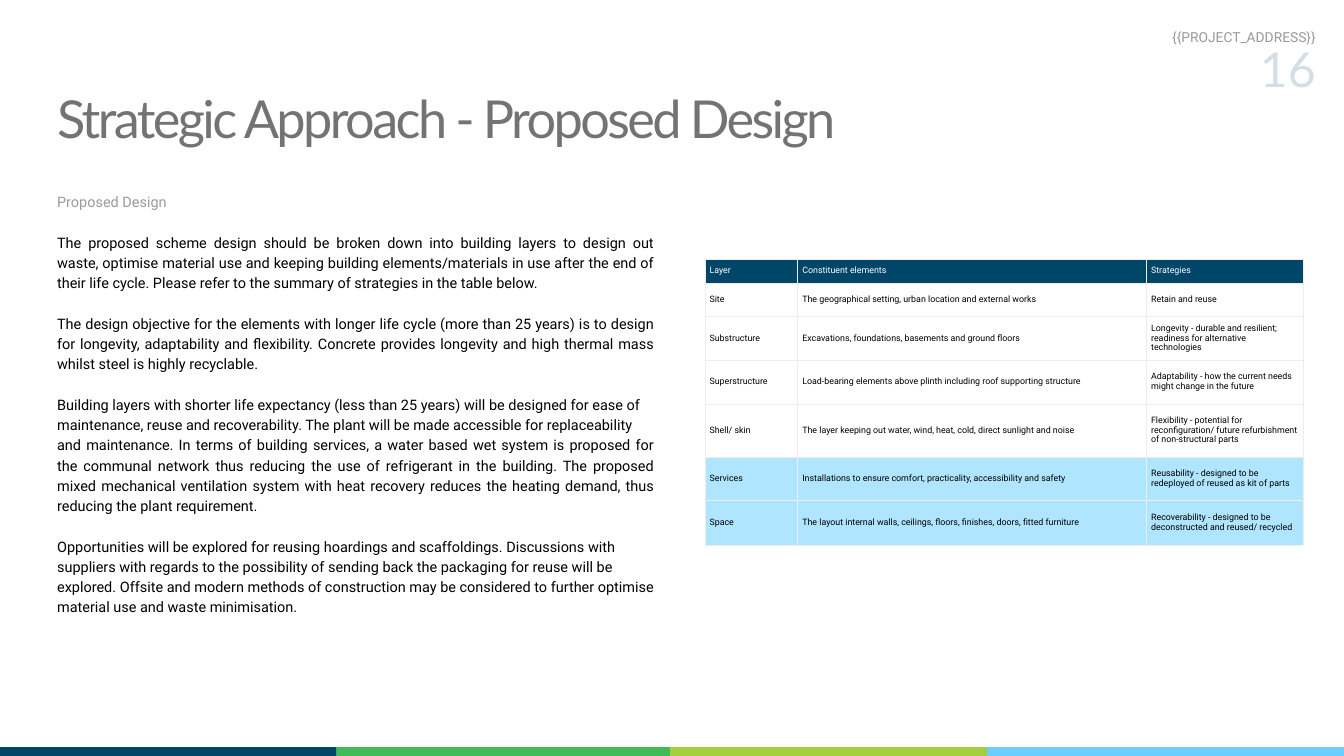
import pptx
import pptx.dml.color
import pptx.enum.shapes
import pptx.enum.text
import pptx.oxml
import pptx.oxml.ns
import pptx.util
from lxml import etree

Pt = pptx.util.Pt
qn = pptx.oxml.ns.qn
ALIGN = pptx.enum.text.PP_ALIGN
ANCHOR = pptx.enum.text.MSO_ANCHOR

COLOURS = {
    "navy": "004669", "green": "3FBB58", "lime": "A3CF3E", "sky": "6BCEFD",
    "pale": "AFE5FF", "rule": "EDEDED", "title": "737373", "muted": "9C9A94",
    "black": "000000", "white": "FFFFFF",
}

SECTIONS = [
    ["The proposed scheme design should be broken down into building layers to design out waste, optimise material use and keeping building elements/materials in use after the end of their life cycle. Please refer to the summary of strategies in the table below."],
    ["The design objective for the elements with longer life cycle (more than 25 years) is to design for longevity, adaptability and flexibility. Concrete provides longevity and high thermal mass whilst steel is highly recyclable."],
    ["Building layers with shorter life expectancy (less than 25 years) will be designed for ease of",
     "maintenance, reuse and recoverability. The plant will be made accessible for replaceability",
     "and maintenance. In terms of building services, a water based wet system is proposed for the communal network thus reducing the use of refrigerant in the building. The proposed mixed mechanical ventilation system with heat recovery reduces the heating demand, thus reducing the plant requirement."],
    ["Opportunities will be explored for reusing hoardings and scaffoldings. Discussions with",
     "suppliers with regards to the possibility of sending back the packaging for reuse will be",
     "explored. Offsite and modern methods of construction may be considered to further optimise material use and waste minimisation."],
]

LAYERS = [
    ("Layer", "Constituent elements", "Strategies"),
    ("Site", "The geographical setting, urban location and external works", "Retain and reuse"),
    ("Substructure", "Excavations, foundations, basements and ground floors",
     "Longevity - durable and resilient; readiness for alternative technologies"),
    ("Superstructure", "Load-bearing elements above plinth including roof supporting structure",
     "Adaptability - how the current needs might change in the future"),
    ("Shell/ skin", "The layer keeping out water, wind, heat, cold, direct sunlight and noise",
     "Flexibility - potential for reconfiguration/ future refurbishment of non-structural parts"),
    ("Services", "Installations to ensure comfort, practicality, accessibility and safety",
     "Reusability - designed to be redeployed of reused as kit of parts"),
    ("Space", "The layout internal walls, ceilings, floors, finishes, doors, fitted furniture",
     "Recoverability - designed to be deconstructed and reused/ recycled"),
]
COLUMN_WIDTHS = [99.4, 373.7, 167.8]
ROW_HEIGHTS = [25.2, 36, 46.8, 46.8, 56.9, 46.8, 47.5]
ROW_FILLS = ["navy", None, None, None, None, "pale", "pale"]


def rgb(name):
    return pptx.dml.color.RGBColor.from_string(COLOURS[name])


def place(shape, box):
    shape.left, shape.top, shape.width, shape.height = map(Pt, box)


def prepare_frame(shape):
    frame = shape.text_frame
    frame.word_wrap = True
    frame.auto_size = pptx.enum.text.MSO_AUTO_SIZE.NONE
    frame.vertical_anchor = ANCHOR.TOP
    frame.margin_left = frame.margin_top = frame.margin_right = frame.margin_bottom = 0
    return frame


def style(para, font, size, colour, spacing, align=ALIGN.LEFT, before=0):
    para.alignment = align
    para.line_spacing = Pt(spacing)
    para.space_before = Pt(before)
    para.font.name = font
    para.font.size = Pt(size)
    para.font.color.rgb = rgb(colour)


def add_title(page, box):
    title = page.shapes.title
    place(title, box)
    para = prepare_frame(title).paragraphs[0]
    para.text = "Strategic Approach - Proposed Design"
    style(para, "Lato", 56, "title", 50.4)
    para.runs[0]._r.get_or_add_rPr().set("spc", "-280")


def add_body(page, box):
    body = page.placeholders[1]
    place(body, box)
    frame = prepare_frame(body)
    lines = [("Proposed Design", "muted", 0)]
    for section in SECTIONS:
        lines += [(text, "black", 0 if i else 21.7) for i, text in enumerate(section)]
    for i, (text, colour, before) in enumerate(lines):
        para = frame.add_paragraph() if i else frame.paragraphs[0]
        para.text = text
        properties = para._p.get_or_add_pPr()
        properties.set("marL", "0")
        properties.set("indent", "0")
        etree.SubElement(properties, qn("a:buNone"))
        style(para, "Roboto", 15.5, colour, 21.7, ALIGN.JUSTIFY, before)


def add_cell_borders(cell):
    properties = cell._tc.get_or_add_tcPr()
    for side in ("lnL", "lnR", "lnT", "lnB"):
        line = etree.SubElement(properties, qn("a:" + side), w=str(Pt(0.59)))
        fill = etree.SubElement(line, qn("a:solidFill"))
        etree.SubElement(fill, qn("a:srgbClr"), val=COLOURS["rule"])


def add_layer_table(page, box):
    table = page.shapes.add_table(len(LAYERS), len(COLUMN_WIDTHS), *map(Pt, box)).table
    table.first_row = table.horz_banding = False
    for column, width in zip(table.columns, COLUMN_WIDTHS):
        column.width = Pt(width)
    for r, (row, height, fill) in enumerate(zip(table.rows, ROW_HEIGHTS, ROW_FILLS)):
        row.height = Pt(height)
        for cell, text in zip(row.cells, LAYERS[r]):
            cell.text = text
            cell.vertical_anchor = ANCHOR.MIDDLE
            cell.margin_left = cell.margin_right = Pt(5)
            cell.margin_top = cell.margin_bottom = Pt(5)
            add_cell_borders(cell)
            if fill:
                cell.fill.solid()
                cell.fill.fore_color.rgb = rgb(fill)
            else:
                cell.fill.background()
            style(cell.text_frame.paragraphs[0], "Roboto", 9.5,
                  "black" if r else "white", 10.3)


def add_footer_band(page, box):
    left, top, width, height = box
    edges = [0, 360.7, 717.8, 1057.7, width]
    for start, end, colour in zip(edges, edges[1:], ("navy", "green", "lime", "sky")):
        bar = page.shapes.add_shape(pptx.enum.shapes.MSO_SHAPE.RECTANGLE,
                                    *map(Pt, (left + start, top, end - start, height)))
        bar.shadow.inherit = False
        bar.fill.solid()
        bar.fill.fore_color.rgb = rgb(colour)
        bar.line.fill.background()


def add_right_label(page, box, text, font, size, colour, spacing):
    label = page.shapes.add_textbox(*map(Pt, box))
    para = prepare_frame(label).paragraphs[0]
    para.text = text
    style(para, font, size, colour, spacing, ALIGN.RIGHT)
    return para


def add_page_header(page, box):
    left, top, width, height = box
    number = add_right_label(page, (left + width - 84.2, top + 3.6, 84.2, height - 3.6),
                             "16", "Lato", 51.6, "navy", 72.3)
    number_font = number.runs[0].font
    number_font.color.rgb = rgb("navy")
    tint = number.runs[0]._r.rPr.find(".//" + qn("a:srgbClr"))
    etree.SubElement(tint, qn("a:alpha"), val="17000")
    add_right_label(page, (left, top, width, 21.6), "{{PROJECT_ADDRESS}}",
                    "Roboto", 14.8, "muted", 20.6)


def main():
    deck = pptx.Presentation()
    deck.slide_width, deck.slide_height = Pt(1440), Pt(810)
    page = deck.slides.add_slide(deck.slide_layouts[1])
    add_body(page, (61.2, 203.8, 639.4, 464.4))
    add_layer_table(page, (755.3, 277.9, sum(COLUMN_WIDTHS), sum(ROW_HEIGHTS)))
    add_footer_band(page, (0, 800.6, 1452.2, 18.7))
    add_title(page, (61.2, 108.7, 996.5, 54))
    add_page_header(page, (878.4, 28.1, 531.4, 83.5))
    deck.save("out.pptx")


if __name__ == "__main__":
    main()
